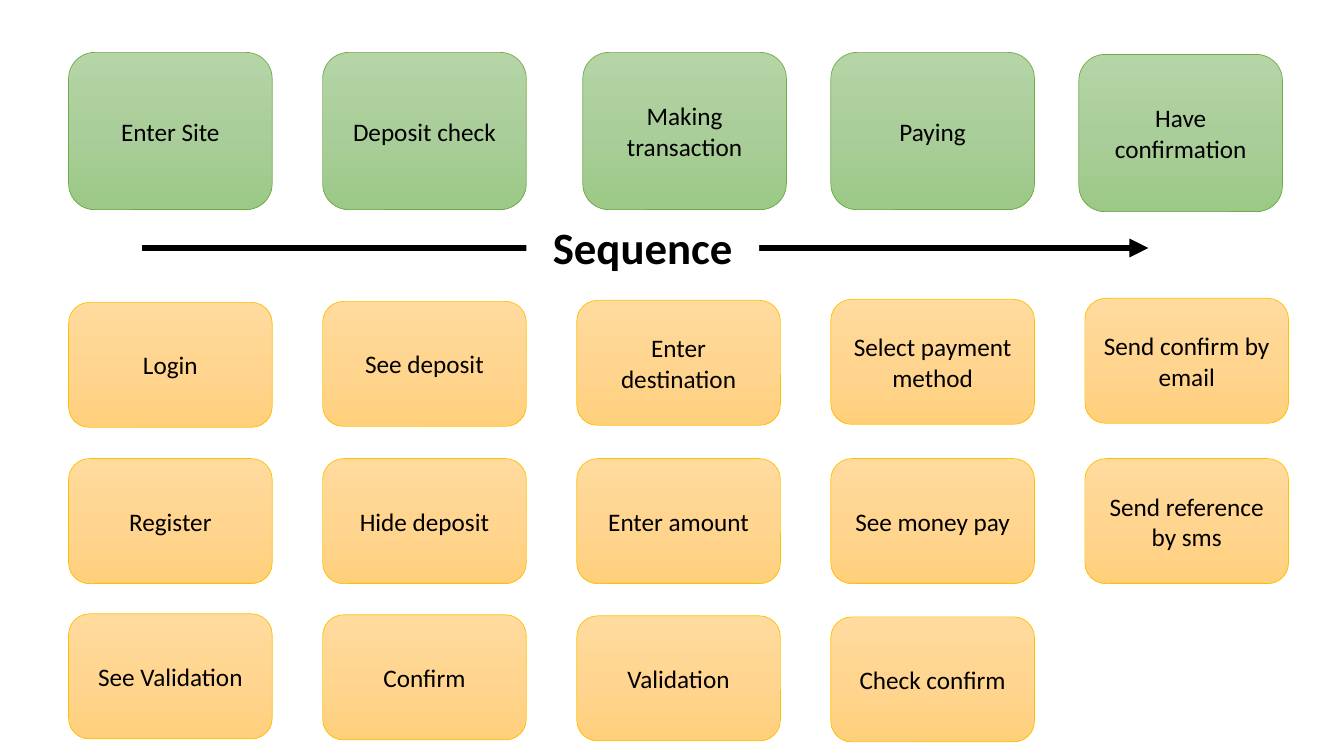
from copy import deepcopy
from dataclasses import dataclass

from lxml import etree
from pptx import Presentation
from pptx import util as u
from pptx.dml.color import RGBColor
from pptx.enum import shapes, text
from pptx.oxml.ns import qn
from pptx.shapes.autoshape import Shape
from pptx.slide import Slide

COLORS = {
    "black": "000000",
    "white": "FFFFFF",
    "green line": "70AD47",
    "amber line": "FFC000",
}
GRADIENTS = {
    "green": ("B5D5A7", "AACE9A", "9CC987"),
    "amber": ("FFDB9E", "FFD590", "FFD07C"),
}
FIRST_LEFT, COLUMN_PITCH, CARD_WIDTH = 0.68, 2.52, 2.02
STEP_HEIGHT, TASK_HEIGHT = 1.56, 1.24


@dataclass
class Step:
    label: str
    shift: float = 0  # horizontal offset from the column
    top: float = 0.52


@dataclass
class TaskRow:
    top: float
    drift: float  # vertical change per column
    labels: tuple[str, ...]


STEPS = (
    Step("Enter Site"),
    Step("Deposit check"),
    Step("Making transaction", shift=0.06),
    Step("Paying"),
    Step("Have confirmation", shift=-0.06, top=0.54),
)
TASK_ROWS = (
    TaskRow(3, -0.01, ("Login", "See deposit", "Enter destination",
                       "Select payment method", "Send confirm by email")),
    TaskRow(4.55, 0, ("Register", "Hide deposit", "Enter amount",
                      "See money pay", "Send reference by sms")),
    TaskRow(6.09, 0.01, ("See Validation", "Confirm", "Validation", "Check confirm")),
)


def color(name: str) -> RGBColor:
    return RGBColor.from_string(COLORS[name])


def column_left(column: int) -> float:
    return FIRST_LEFT + column * COLUMN_PITCH


def add_box(slide: Slide, kind: shapes.MSO_SHAPE, label: str, left: float, top: float,
            width: float, height: float, size: int = 18, bold: bool = False) -> Shape:
    shape = slide.shapes.add_shape(kind, u.Inches(left), u.Inches(top),
                                   u.Inches(width), u.Inches(height))
    shape.shadow.inherit = False
    frame = shape.text_frame
    frame.word_wrap = True
    frame.vertical_anchor = text.MSO_ANCHOR.MIDDLE
    paragraph = frame.paragraphs[0]
    paragraph.text = label
    paragraph.alignment = text.PP_ALIGN.CENTER
    paragraph.font.name = "Calibri"
    paragraph.font.size = u.Pt(size)
    paragraph.font.bold = bold
    paragraph.font.color.rgb = color("black")
    return shape


def add_card(slide: Slide, label: str, left: float, top: float,
             height: float, theme: str) -> None:
    card = add_box(slide, shapes.MSO_SHAPE.ROUNDED_RECTANGLE, label,
                   left, top, CARD_WIDTH, height)
    card.line.color.rgb = color(f"{theme} line")
    card.line.width = u.Pt(0.5)
    # Three-stop gradient running downwards
    card.fill.gradient()
    card.fill.gradient_angle = 270
    stop_list = card.element.spPr.find(".//" + qn("a:gsLst"))
    stop_list.insert(1, deepcopy(stop_list[0]))
    for index, (stop, shade) in enumerate(zip(card.fill.gradient_stops, GRADIENTS[theme])):
        stop.position = index / 2
        stop.color.rgb = RGBColor.from_string(shade)


def add_sequence_arrow(slide: Slide) -> None:
    arrow = slide.shapes.add_connector(shapes.MSO_CONNECTOR.STRAIGHT, u.Inches(1.41),
                                       u.Inches(2.46), u.Inches(11.39), u.Inches(2.46))
    arrow.line.color.rgb = color("black")
    arrow.line.width = u.Pt(4.5)
    properties = arrow.element.spPr
    etree.SubElement(properties.find(qn("a:ln")), qn("a:tailEnd"), type="triangle")
    etree.SubElement(properties, qn("a:effectLst"))


presentation = Presentation()
presentation.slide_width = u.Inches(13.33)
presentation.slide_height = u.Inches(7.5)
slide = presentation.slides.add_slide(presentation.slide_layouts[6])

# Sequence arrow with its title
add_sequence_arrow(slide)
title = add_box(slide, shapes.MSO_SHAPE.RECTANGLE, "Sequence",
                5.22, 2.07, 2.31, 0.76, size=32, bold=True)
title.fill.solid()
title.fill.fore_color.rgb = color("white")
title.line.fill.background()

# Main steps
for column, step in enumerate(STEPS):
    add_card(slide, step.label, column_left(column) + step.shift, step.top,
             STEP_HEIGHT, "green")

# Tasks below each step
for row in TASK_ROWS:
    for column, label in enumerate(row.labels):
        add_card(slide, label, column_left(column), row.top + column * row.drift,
                 TASK_HEIGHT, "amber")

presentation.save("out.pptx")
